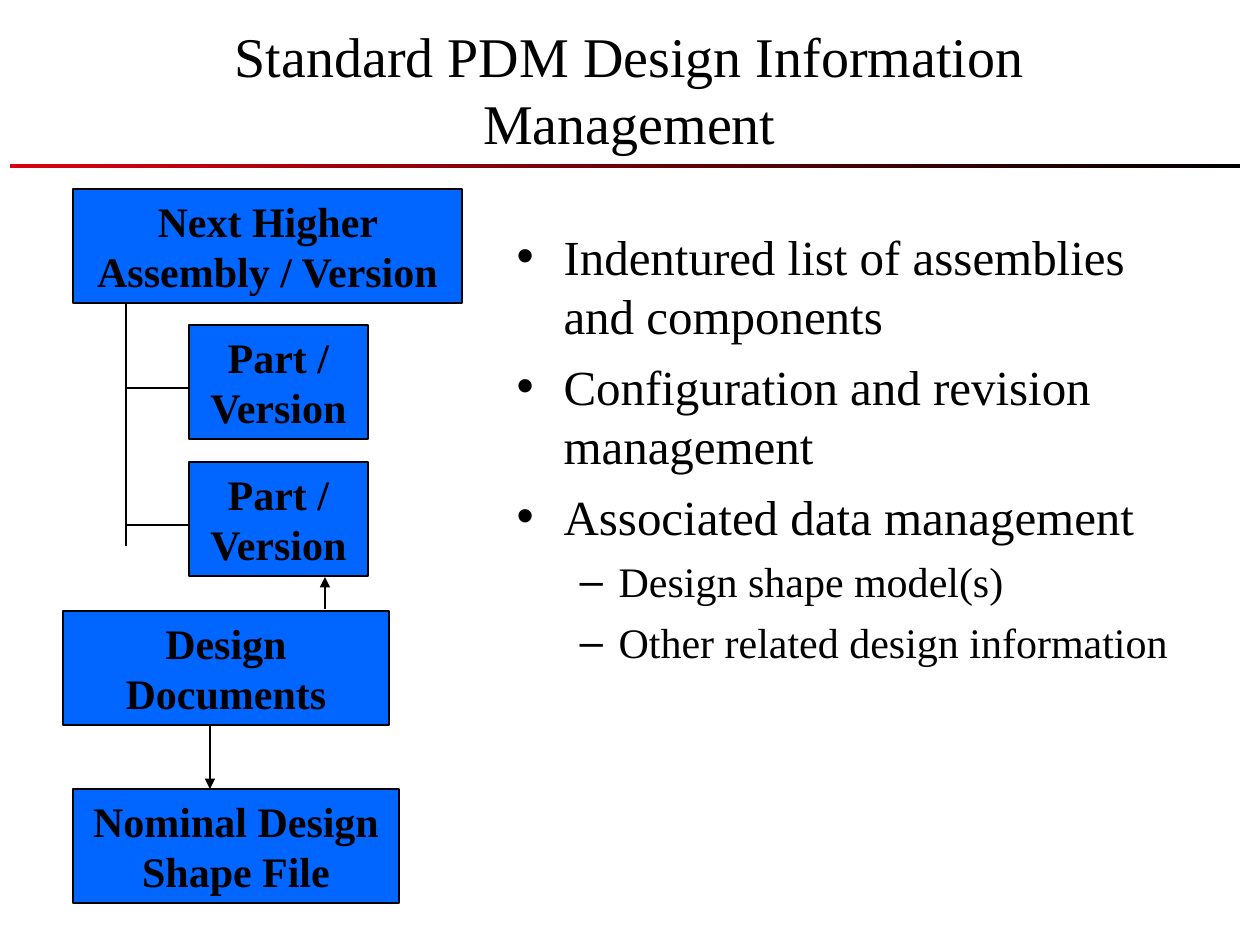
from dataclasses import dataclass

from lxml import etree
from pptx import Presentation
from pptx import util as u
from pptx.dml.color import RGBColor
from pptx.enum import shapes, text
from pptx.oxml.ns import qn

SCALE = 914400 / 126  # EMU in one px
FONT = "Times New Roman"
BLACK, BLUE, RED = "000000", "0066FF", "D90210"


@dataclass
class Box:
    label: str
    x: int
    y: int
    w: int
    h: int = 114


@dataclass
class Link:
    x1: int
    y1: int
    x2: int
    y2: int
    arrow: bool = False


@dataclass
class Level:
    mark: str
    size: int
    space: int
    left: int
    hang: int


BOXES = [
    Box("Next Higher Assembly / Version", 73, 189, 389),
    Box("Part / Version", 189, 325, 179),
    Box("Part / Version", 189, 462, 179),
    Box("Design Documents", 63, 611, 326),
    Box("Nominal Design Shape File", 73, 789, 326),
]
LINKS = [
    Link(126, 304, 126, 546),
    Link(126, 388, 189, 388),
    Link(126, 525, 189, 525),
    Link(325, 609, 325, 577, True),
    Link(210, 725, 210, 789, True),
]
LEVELS = [Level("•", 28, 7, 47, 47), Level("–", 24, 6, 102, 39)]
ITEMS = [
    (0, "Indentured list of assemblies and components"),
    (0, "Configuration and revision management"),
    (0, "Associated data management"),
    (1, "Design shape model(s)"),
    (1, "Other related design information"),
]


def px(n: int) -> u.Emu:
    return u.Emu(round(n * SCALE))


def rgb(code: str) -> RGBColor:
    return RGBColor.from_string(code)


def style(para, size: int, bold: bool = False) -> None:
    font = para.font
    font.name, font.size, font.bold = FONT, u.Pt(size), bold
    font.color.rgb = rgb(BLACK)


def place(shape, x: int, y: int, w: int, h: int) -> None:
    shape.left, shape.top, shape.width, shape.height = map(px, (x, y, w, h))


def add_rect(slide, x: int, y: int, w: int, h: int):
    rect = slide.shapes.add_shape(shapes.MSO_SHAPE.RECTANGLE, *map(px, (x, y, w, h)))
    rect.shadow.inherit = False
    return rect


def draw_title(slide, words: str) -> None:
    title = slide.shapes.title
    place(title, 94, 10, 1071, 158)
    frame = title.text_frame
    frame.text = words
    frame.auto_size = text.MSO_AUTO_SIZE.NONE
    frame.vertical_anchor = text.MSO_ANCHOR.MIDDLE
    frame.paragraphs[0].alignment = text.PP_ALIGN.CENTER
    style(frame.paragraphs[0], 32)


def draw_list(body) -> None:
    place(body, 504, 220, 683, 567)
    frame = body.text_frame
    frame.auto_size = text.MSO_AUTO_SIZE.NONE
    for i, (depth, words) in enumerate(ITEMS):
        para = frame.add_paragraph() if i else frame.paragraphs[0]
        para.text, para.level = words, depth
        level = LEVELS[depth]
        para.space_before = u.Pt(level.space if i else 0)
        props = para._p.get_or_add_pPr()
        props.set("marL", str(px(level.left)))
        props.set("indent", str(-px(level.hang)))
        etree.SubElement(props, qn("a:buChar")).set("char", level.mark)
        style(para, level.size)


def draw_rule(slide) -> None:
    rule = add_rect(slide, 10, 164, 1230, 4)
    rule.line.fill.background()
    rule.fill.gradient()
    rule.fill.gradient_angle = 0
    for stop, code in zip(rule.fill.gradient_stops, (RED, BLACK)):
        stop.color.rgb = rgb(code)


def draw_box(slide, box: Box) -> None:
    rect = add_rect(slide, box.x, box.y, box.w, box.h)
    rect.fill.solid()
    rect.fill.fore_color.rgb = rgb(BLUE)
    rect.line.color.rgb = rgb(BLACK)
    rect.line.width = u.Pt(0.75)
    frame = rect.text_frame
    frame.word_wrap = True
    frame.vertical_anchor = text.MSO_ANCHOR.TOP
    frame.text = box.label
    frame.paragraphs[0].alignment = text.PP_ALIGN.CENTER
    style(frame.paragraphs[0], 24, True)


def draw_link(slide, link: Link) -> None:
    ends = map(px, (link.x1, link.y1, link.x2, link.y2))
    line = slide.shapes.add_connector(shapes.MSO_CONNECTOR.STRAIGHT, *ends)
    line.line.color.rgb = rgb(BLACK)
    line.line.width = u.Pt(0.75)
    if link.arrow:
        tip = etree.SubElement(line.line._get_or_add_ln(), qn("a:tailEnd"))
        tip.set("type", "triangle")
    etree.SubElement(line._element.spPr, qn("a:effectLst"))


def main() -> None:
    deck = Presentation()
    deck.slide_width, deck.slide_height = u.Inches(10), u.Inches(7.5)
    slide = deck.slides.add_slide(deck.slide_layouts[1])

    # Heading, rule and bullet list
    draw_title(slide, "Standard PDM Design Information Management")
    draw_list(slide.placeholders[1])
    draw_rule(slide)

    # Assembly tree
    for box in BOXES:
        draw_box(slide, box)
    for link in LINKS:
        draw_link(slide, link)

    deck.save("out.pptx")


if __name__ == "__main__":
    main()
